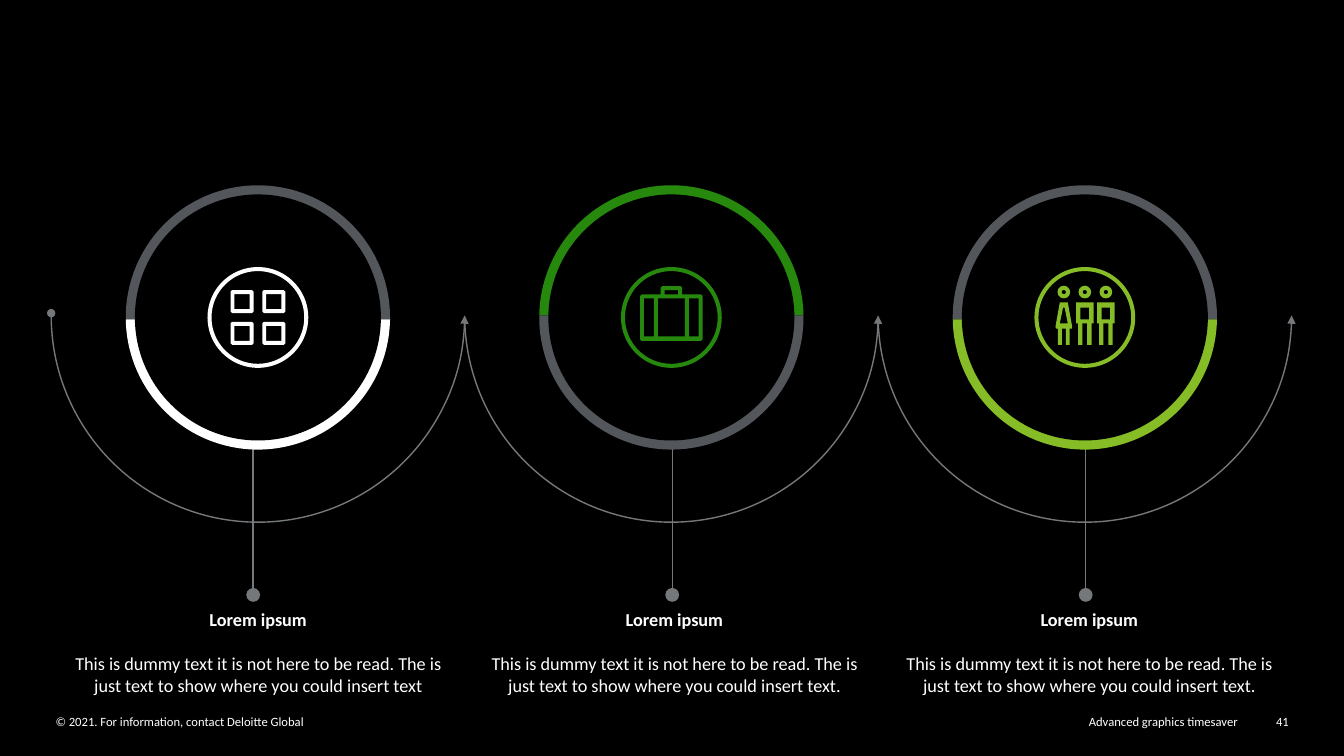
from math import asin, cos, pi, sin

from lxml.etree import SubElement
from pptx import Presentation
from pptx.dml.color import RGBColor
from pptx.enum.shapes import MSO_CONNECTOR, MSO_SHAPE
from pptx.enum.text import MSO_AUTO_SIZE, PP_ALIGN
from pptx.oxml.ns import qn
from pptx.util import Cm, Pt

COLORS = {
    "black": "000000",
    "white": "FFFFFF",
    "line": "75787B",
    "ring": "53565A",
    "green": "26890D",
    "lime": "86BC25",
}
FONT = "Calibri"
FIRST_X, STEP = 6.5, 10.42
CENTER_Y = 8.0
DISC_R, HOLE_R, BADGE_R = 3.33, 3.1, 1.27
SPLIT = 0.05
HEAD_R = 0.16

MAN = [
    [(0.22, -0.38), (0.22, 0.15), (0.17, 0.15), (0.17, 0.69), (0.06, 0.69), (0.06, 0.15)],
    [(0.11, -0.25), (0.11, 0.05)],
]
WOMAN = [
    [(0.1, -0.38), (0.21, 0.23), (0.2, 0.28), (0.15, 0.28), (0.15, 0.69), (0.05, 0.69), (0.05, 0.28)],
    [(0.02, -0.25), (0.1, 0.15)],
]
DUMMY = "This is dummy text it is not here to be read. The is just text to show where you could insert text"


def rgb(name):
    return RGBColor.from_string(COLORS[name])


def paint(shape, color):
    shape.fill.solid()
    shape.fill.fore_color.rgb = rgb(color)
    shape.line.fill.background()
    shape.shadow.inherit = False


def add_ends(line, **ends):
    for tag, (kind, size) in ends.items():
        SubElement(line._get_or_add_ln(), qn(f"a:{tag}"), type=kind, w=size, len=size)


def style_line(shape):
    shape.line.color.rgb = rgb("line")
    shape.line.width = Pt(1)


def add_text(slide, left, top, width, height, texts, size, align, inset=0):
    box = slide.shapes.add_textbox(Cm(left), Cm(top), Cm(width), Cm(height))
    frame = box.text_frame
    frame.word_wrap = True
    frame.auto_size = MSO_AUTO_SIZE.SHAPE_TO_FIT_TEXT
    frame.margin_left = frame.margin_right = Cm(inset)
    frame.margin_top = frame.margin_bottom = 0
    frame.text = "\n".join(texts)
    for paragraph in frame.paragraphs:
        paragraph.alignment = align
        for run in paragraph.runs:
            run.font.name = FONT
            run.font.size = Pt(size)
            run.font.color.rgb = rgb("white")
    return frame


def add_caption(slide, left, width, body):
    frame = add_text(slide, left, 15.32, width, 2.24, ["Lorem ipsum", body], 13, PP_ALIGN.CENTER, 0.51)
    heading, description = frame.paragraphs
    heading.runs[0].font.bold = True
    description.space_before = Pt(16)


def add_stem(slide, x):
    stem = slide.shapes.add_connector(MSO_CONNECTOR.STRAIGHT, Cm(x), Cm(11.1), Cm(x), Cm(14.99))
    style_line(stem)
    add_ends(stem.line, tailEnd=("oval", "lg"))
    SubElement(stem._element.spPr, qn("a:effectLst"))


def add_swing(slide, center, sweep, **ends):
    swing = slide.shapes.add_shape(
        MSO_SHAPE.ARC, Cm(center - STEP / 2), Cm(7.95 - STEP / 2), Cm(STEP), Cm(STEP))
    swing.rotation = 90
    swing.adjustments[1] = sweep
    swing.fill.background()
    swing.shadow.inherit = False
    style_line(swing)
    add_ends(swing.line, headEnd=("triangle", "med"), **ends)


def add_round(shapes, preset, center, y, radius, color, band=None):
    shape = shapes.add_shape(
        preset, Cm(center - radius), Cm(y - radius), Cm(2 * radius), Cm(2 * radius))
    if band:
        shape.adjustments[0] = band
    paint(shape, color)


def add_silhouette(shapes, center, contours, color):
    outlines = [[(Cm(center + x), Cm(CENTER_Y + y)) for x, y in contour] for contour in contours]
    builder = shapes.build_freeform(*outlines[0][0])
    builder.add_line_segments(outlines[0][1:])
    for outline in outlines[1:]:
        builder.move_to(*outline[0])
        builder.add_line_segments(outline[1:])
    paint(builder.convert_to_shape(), color)


def mirrored(half):
    return half + [(-x, y) for x, y in reversed(half)]


def box(left, top, right, bottom):
    return [(left, top), (right, top), (right, bottom), (left, bottom)]


def soft_box(left, top, right, bottom, cut=0.04):
    return [
        (left + cut, top), (right - cut, top), (right, top + cut), (right, bottom - cut),
        (right - cut, bottom), (left + cut, bottom), (left, bottom - cut), (left, top + cut),
    ]


def disc_part(start, end, steps=90):
    angles = [start + (end - start) * i / steps for i in range(steps + 1)]
    return [(DISC_R * cos(a), DISC_R * sin(a)) for a in angles]


def add_ring(shapes, center, split, upper, lower, accent):
    tilt = asin(split / DISC_R)
    add_silhouette(shapes, center, [disc_part(pi - tilt, 2 * pi + tilt)], upper)
    add_silhouette(shapes, center, [disc_part(tilt, pi - tilt)], lower)
    add_round(shapes, MSO_SHAPE.OVAL, center, CENTER_Y, HOLE_R, "black")
    add_round(shapes, MSO_SHAPE.DONUT, center, CENTER_Y, BADGE_R, accent, 0.04)


def draw_tiles(shapes, center, color):
    for y in (-0.4, 0.4):
        for x in (-0.4, 0.4):
            tile = soft_box(x - 0.29, y - 0.29, x + 0.29, y + 0.29)
            hole = box(x - 0.19, y - 0.19, x + 0.19, y + 0.19)
            add_silhouette(shapes, center, [tile, hole], color)


def draw_suitcase(shapes, center, color):
    shell = mirrored([
        (0.23, -0.79), (0.27, -0.75), (0.27, -0.58), (0.75, -0.58),
        (0.79, -0.54), (0.79, 0.55), (0.75, 0.59)])
    holes = [
        box(-0.17, -0.69, 0.17, -0.58),
        box(-0.69, -0.48, -0.44, 0.48),
        box(-0.34, -0.48, 0.34, 0.48),
        box(0.44, -0.48, 0.69, 0.48),
    ]
    add_silhouette(shapes, center, [shell, *holes], color)


def draw_people(shapes, center, color):
    for offset, figure in ((-0.53, WOMAN), (0, MAN), (0.53, MAN)):
        x = center + offset
        add_silhouette(shapes, x, [mirrored(half) for half in figure], color)
        add_round(shapes, MSO_SHAPE.DONUT, x, CENTER_Y - 0.64, HEAD_R, color, 0.33)


def main():
    deck = Presentation()
    deck.slide_width, deck.slide_height = Cm(33.87), Cm(19.05)
    slide = deck.slides.add_slide(deck.slide_layouts[6])
    slide.background.fill.solid()
    slide.background.fill.fore_color.rgb = rgb("black")

    add_text(slide, 1.4, 17.98, 14.88, 0.39,
             ["© 2021. For information, contact Deloitte Global"], 9, PP_ALIGN.LEFT)
    add_text(slide, 17.6, 17.98, 13.59, 0.39, ["Advanced graphics timesaver"], 9, PP_ALIGN.RIGHT)
    add_text(slide, 31.62, 17.98, 0.86, 0.39, ["41"], 9, PP_ALIGN.RIGHT)

    stages = [
        (6.38, 1.3, 10.41, DUMMY, 54.38, {"tailEnd": ("oval", "med")},
         SPLIT, "ring", "white", "white", draw_tiles),
        (16.94, 11.84, 10.31, DUMMY + ".", 52.91, {},
         -SPLIT, "green", "ring", "green", draw_suitcase),
        (27.36, 22.28, 10.34, DUMMY + ".", 52.68, {},
         SPLIT, "ring", "lime", "lime", draw_people),
    ]
    for index, stage in enumerate(stages):
        stem_x, left, width, body, sweep, ends, split, upper, lower, accent, draw_icon = stage
        center = FIRST_X + index * STEP
        add_stem(slide, stem_x)
        add_caption(slide, left, width, body)
        add_swing(slide, center, sweep, **ends)
        badge = slide.shapes.add_group_shape().shapes
        add_ring(badge, center, split, upper, lower, accent)
        draw_icon(badge, center, accent)

    deck.save("out.pptx")


if __name__ == "__main__":
    main()
